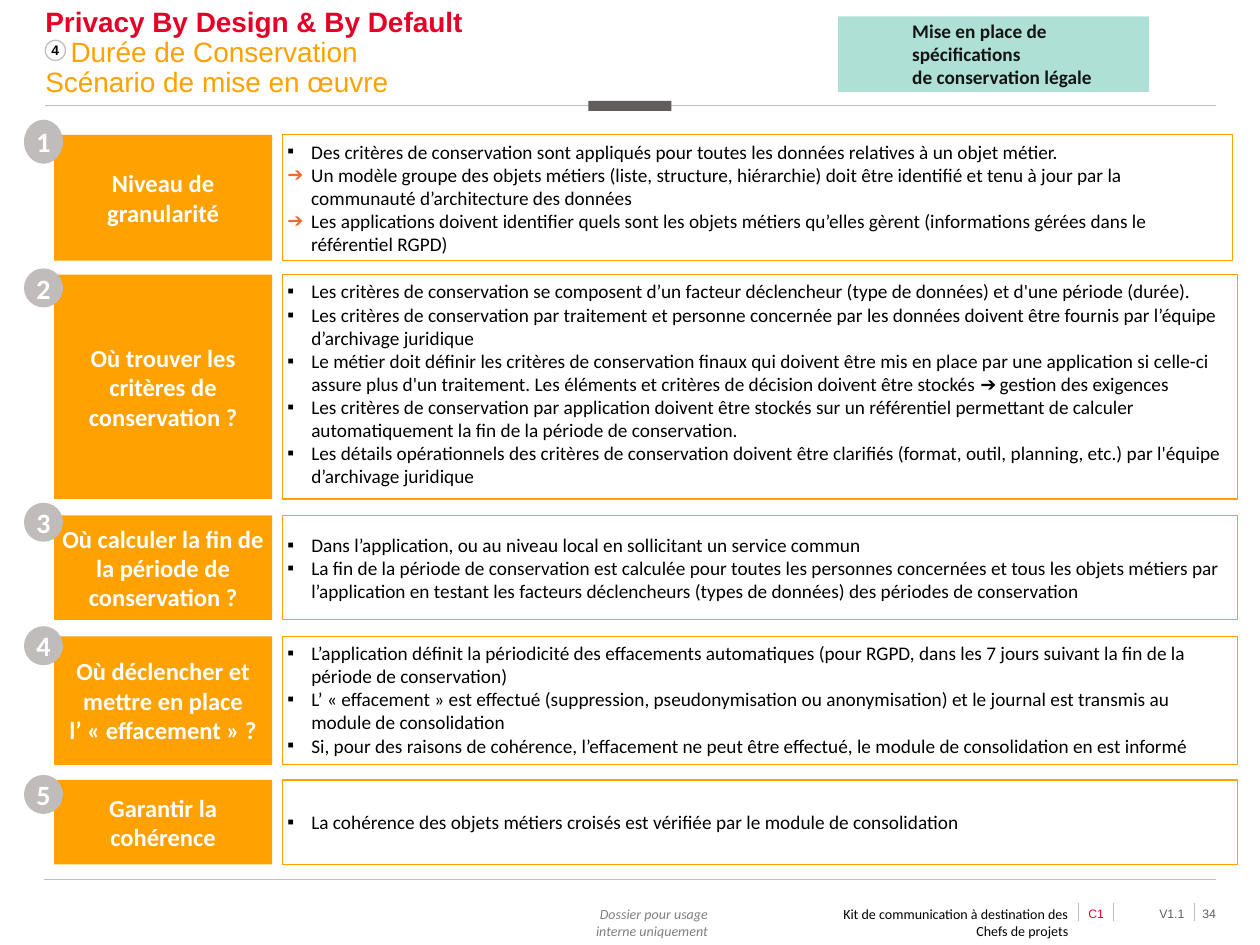
from lxml import etree
from pptx import Presentation
from pptx.dml.color import RGBColor
from pptx.enum import shapes, text
from pptx.oxml.ns import qn
from pptx.util import Inches, Pt

RED = RGBColor(0xE6, 0x00, 0x28)
ORANGE = RGBColor(0xFF, 0xA1, 0x00)
ARROW = RGBColor(0xEC, 0x6C, 0x2D)
TEAL = RGBColor(0xAE, 0xE0, 0xD5)
INK = RGBColor(0x14, 0x14, 0x14)
BLACK = RGBColor(0, 0, 0)
WHITE = RGBColor(0xFF, 0xFF, 0xFF)
GREY = RGBColor(0xC1, 0xBC, 0xBC)
DARK_GREY = RGBColor(0x63, 0x5C, 0x5C)
MID_GREY = RGBColor(0x80, 0x80, 0x80)
RING_GREY = RGBColor(0xBF, 0xBF, 0xBF)

RECTANGLE = shapes.MSO_SHAPE.RECTANGLE
OVAL = shapes.MSO_SHAPE.OVAL
LEFT, CENTER, RIGHT = (text.PP_ALIGN.LEFT, text.PP_ALIGN.CENTER,
                       text.PP_ALIGN.RIGHT)
TOP, MIDDLE = text.MSO_ANCHOR.TOP, text.MSO_ANCHOR.MIDDLE
SQUARE, ARROWHEAD = "▪", "➔"

# Each row: top, height, panel width, badge top, badge height, label, panel anchor, items
ROWS = [
    (1.07, 1, 7.54, 0.95, 0.35, "Niveau de granularité", TOP, [
        (SQUARE, "Des critères de conservation sont appliqués pour toutes les données relatives à un objet métier."),
        (ARROWHEAD, "Un modèle groupe des objets métiers (liste, structure, hiérarchie) doit être identifié et tenu à jour par la communauté d’architecture des données"),
        (ARROWHEAD, "Les applications doivent identifier quels sont les objets métiers qu’elles gèrent (informations gérées dans le référentiel RGPD)"),
    ]),
    (2.18, 1.78, 7.58, 2.13, 0.31, "Où trouver les critères de conservation ?", TOP, [
        (SQUARE, "Les critères de conservation se composent d’un facteur déclencheur (type de données) et d'une période (durée)."),
        (SQUARE, "Les critères de conservation par traitement et personne concernée par les données doivent être fournis par l’équipe d’archivage juridique"),
        (SQUARE, "Le métier doit définir les critères de conservation finaux qui doivent être mis en place par une application si celle-ci assure plus d'un traitement. Les éléments et critères de décision doivent être stockés ➔ gestion des exigences"),
        (SQUARE, "Les critères de conservation par application doivent être stockés sur un référentiel permettant de calculer automatiquement la fin de la période de conservation."),
        (SQUARE, "Les détails opérationnels des critères de conservation doivent être clarifiés (format, outil, planning, etc.) par l'équipe d’archivage juridique"),
    ]),
    (4.09, 0.83, 7.58, 3.99, 0.31, "Où calculer la fin de la période de conservation ?", MIDDLE, [
        (SQUARE, "Dans l’application, ou au niveau local en sollicitant un service commun"),
        (SQUARE, "La fin de la période de conservation est calculée pour toutes les personnes concernées et tous les objets métiers par l’application en testant les facteurs déclencheurs (types de données) des périodes de conservation"),
    ]),
    (5.05, 1.02, 7.58, 4.97, 0.31, "Où déclencher et mettre en place\nl’ « effacement » ?", TOP, [
        (SQUARE, "L’application définit la périodicité des effacements automatiques (pour RGPD, dans les 7 jours suivant la fin de la période de conservation)"),
        (SQUARE, "L’ « effacement » est effectué (suppression, pseudonymisation ou anonymisation) et le journal est transmis au module de consolidation"),
        (SQUARE, "Si, pour des raisons de cohérence, l’effacement ne peut être effectué, le module de consolidation en est informé"),
    ]),
    (6.19, 0.67, 7.58, 6.15, 0.31, "Garantir la\ncohérence", MIDDLE, [
        (SQUARE, "La cohérence des objets métiers croisés est vérifiée par le module de consolidation"),
    ]),
]

# Each footer text: left, width, words, size, font, colour, alignment, italic
FOOTER = [
    (4.65, 1.01, "Dossier pour usage interne uniquement", 8, "Calibri", MID_GREY, RIGHT, True),
    (6.58, 1.94, "Kit de communication à destination des Chefs de projets", 8, "Calibri", BLACK, RIGHT, False),
    (8.5, 0.4, "C1", 7, "Arial", RED, CENTER, False),
    (9.04, 0.4, "V1.1", 7, "Arial", DARK_GREY, RIGHT, False),
    (9.39, 0.3, "34", 7, "Arial", DARK_GREY, RIGHT, False),
]


def set_frame(shape, margin=0.04, anchor=MIDDLE, wrap=True):
    frame = shape.text_frame
    frame.margin_left = frame.margin_right = Inches(margin)
    frame.margin_top = frame.margin_bottom = Inches(margin)
    frame.vertical_anchor = anchor
    frame.word_wrap = wrap
    return frame


def add_words(paragraph, words, size, color, font="Calibri", bold=False,
              italic=False, align=LEFT):
    paragraph.alignment = align
    for index, line in enumerate(words.split("\n")):
        if index:
            paragraph.add_line_break()
        run = paragraph.add_run()
        run.text = line
        run.font.size, run.font.name = Pt(size), font
        run.font.bold, run.font.italic = bold, italic
        run.font.color.rgb = color


def set_indent(paragraph, left, first=0):
    properties = paragraph._p.get_or_add_pPr()
    properties.set("marL", str(Inches(left)))
    properties.set("indent", str(Inches(first)))
    return properties


def add_bullet(paragraph, symbol):
    properties = set_indent(paragraph, 0.19, -0.19)
    if symbol == ARROWHEAD:
        color = etree.SubElement(properties, qn("a:buClr"))
        etree.SubElement(color, qn("a:srgbClr"), val=str(ARROW))
    etree.SubElement(properties, qn("a:buFont"), typeface="Arial")
    etree.SubElement(properties, qn("a:buChar"), char=symbol)


def add_block(slide, kind, left, top, width, height, fill, line=None):
    shape = slide.shapes.add_shape(kind, Inches(left), Inches(top),
                                   Inches(width), Inches(height))
    shape.shadow.inherit = False
    shape.fill.solid()
    shape.fill.fore_color.rgb = fill
    if line is None:
        shape.line.fill.background()
    else:
        shape.line.color.rgb = line
        shape.line.width = Pt(0.75)
    return shape


def add_rule(slide, x1, y1, x2, y2):
    rule = slide.shapes.add_connector(shapes.MSO_CONNECTOR.STRAIGHT, Inches(x1),
                                      Inches(y1), Inches(x2), Inches(y2))
    rule.line.color.rgb = GREY
    rule.line.width = Pt(0.5)
    etree.SubElement(rule._element.spPr, qn("a:effectLst"))


def add_header(slide):
    add_rule(slide, 0.36, 0.84, 9.65, 0.84)
    add_block(slide, RECTANGLE, 4.67, 0.8, 0.66, 0.08, DARK_GREY)

    title = slide.shapes.title
    title.left, title.top = Inches(0.36), Inches(0.01)
    title.width, title.height = Inches(9.35), Inches(0.83)
    frame = set_frame(title, margin=0)
    frame.auto_size = text.MSO_AUTO_SIZE.NONE
    lines = [("Privacy By Design & By Default", RED, True, 0),
             ("Durée de Conservation", ORANGE, False, 0.2),
             ("Scénario de mise en œuvre", ORANGE, False, 0)]
    for index, (words, color, bold, first) in enumerate(lines):
        paragraph = frame.add_paragraph() if index else frame.paragraphs[0]
        set_indent(paragraph, 0, first)
        paragraph.line_spacing = 0.9
        add_words(paragraph, words, 16, color, "Arial", bold)

    step = add_block(slide, OVAL, 0.36, 0.32, 0.16, 0.16, WHITE, RING_GREY)
    frame = set_frame(step, margin=0, wrap=False)
    add_words(frame.paragraphs[0], "4", 7.9, BLACK, "Arial", True, align=CENTER)

    tag = add_block(slide, RECTANGLE, 6.65, 0.13, 2.47, 0.6, TEAL)
    paragraph = set_frame(tag, margin=0).paragraphs[0]
    set_indent(paragraph, 0.59)
    add_words(paragraph, "Mise en place de\nspécifications\nde conservation légale",
              11, INK, bold=True)


def add_row(slide, number, row):
    top, height, width, badge_top, badge_height, label, anchor, items = row
    box = add_block(slide, RECTANGLE, 0.43, top, 1.73, height, ORANGE)
    add_words(set_frame(box).paragraphs[0], label, 14, WHITE, bold=True, align=CENTER)

    badge = add_block(slide, OVAL, 0.19, badge_top, 0.31, badge_height, GREY)
    add_words(set_frame(badge).paragraphs[0], str(number), 16, WHITE, bold=True,
              align=CENTER)

    panel = add_block(slide, RECTANGLE, 2.24, top, width, height, WHITE, ORANGE)
    frame = set_frame(panel, anchor=anchor)
    for index, (symbol, words) in enumerate(items):
        paragraph = frame.add_paragraph() if index else frame.paragraphs[0]
        add_bullet(paragraph, symbol)
        add_words(paragraph, words, 11, BLACK)


def add_footer(slide):
    add_rule(slide, 0.35, 6.98, 9.65, 6.98)
    for x in (8.56, 8.84, 9.48):
        add_rule(slide, x, 7.17, x, 7.31)
    for left, width, words, size, font, color, align, italic in FOOTER:
        box = slide.shapes.add_textbox(Inches(left), Inches(7.15),
                                       Inches(width), Inches(0.2))
        frame = set_frame(box, anchor=TOP)
        add_words(frame.paragraphs[0], words, size, color, font,
                  italic=italic, align=align)


def main():
    presentation = Presentation()
    presentation.slide_width, presentation.slide_height = Inches(10), Inches(7.5)
    slide = presentation.slides.add_slide(presentation.slide_layouts[5])
    add_header(slide)
    for number, row in enumerate(ROWS, start=1):
        add_row(slide, number, row)
    add_footer(slide)
    presentation.save("out.pptx")


if __name__ == "__main__":
    main()
